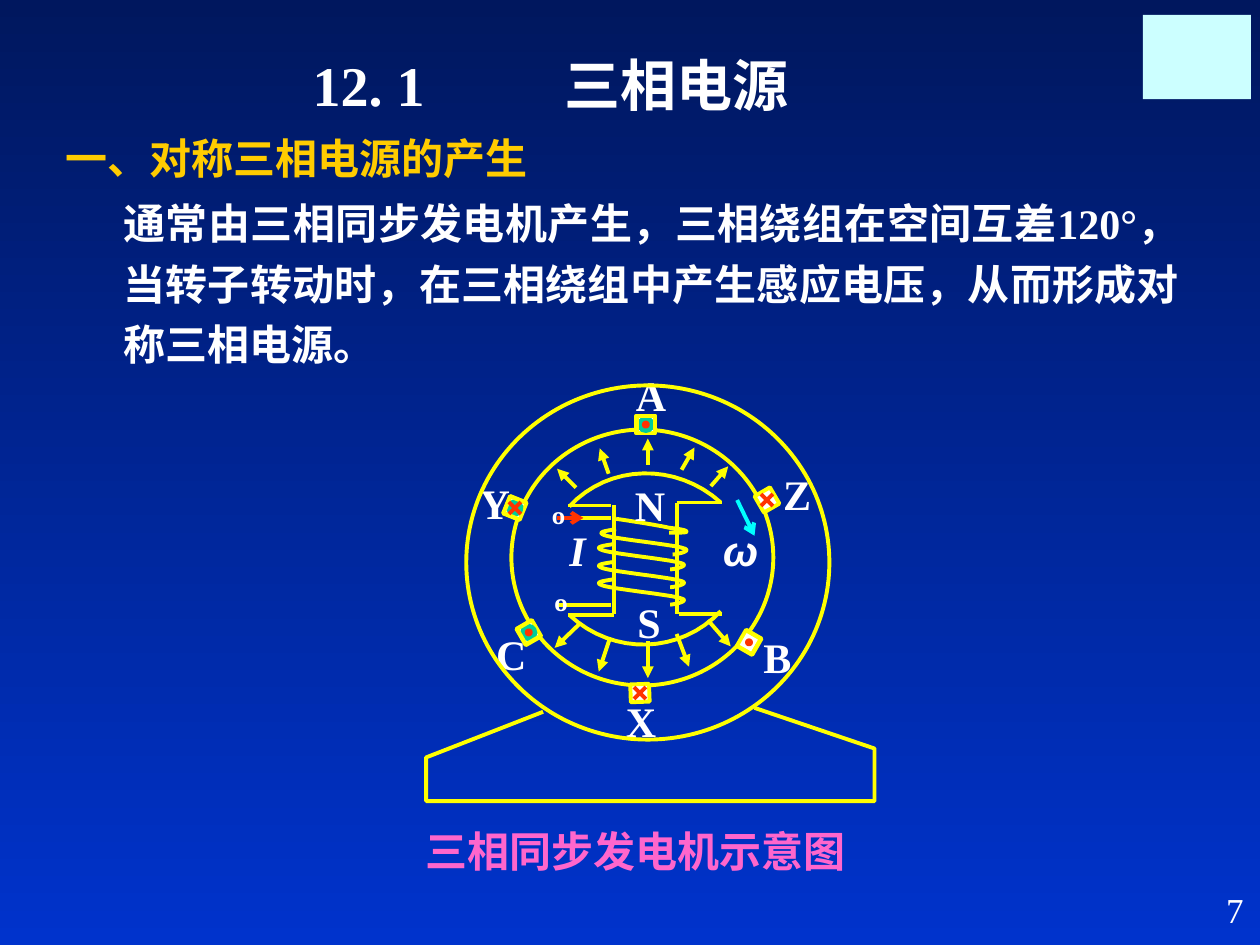
from math import cos, radians, sin

from lxml.etree import SubElement
from pptx import Presentation
from pptx.dml.color import RGBColor
from pptx.enum.shapes import MSO_CONNECTOR, MSO_SHAPE
from pptx.enum.text import MSO_ANCHOR, PP_ALIGN
from pptx.oxml.ns import qn
from pptx.util import Cm, Pt

COLORS = {
    "sky": "00175E", "blue": "0033CC", "white": "FFFFFF", "gold": "FFCC00",
    "pink": "FF66CC", "yellow": "FFFF00", "red": "FF3300", "teal": "00CC99",
    "cyan": "00FFFF", "pale": "CCFFFF",
}
RGB = {name: RGBColor.from_string(value) for name, value in COLORS.items()}
STROKE = Pt(2.25)

prs = Presentation()
prs.slide_width, prs.slide_height = Cm(25.4), Cm(19.05)
slide = prs.slides.add_slide(prs.slide_layouts[5])
shapes = slide.shapes

background = slide.background.fill
background.gradient()
background.gradient_angle = 270
for stop, name in zip(background.gradient_stops, ("sky", "blue")):
    stop.color.rgb = RGB[name]


def write_text(text, box, holder=None, size=24, color="white", bold=True, italic=False,
               font="Times New Roman", align=PP_ALIGN.LEFT, anchor=MSO_ANCHOR.TOP,
               wrap=True, spacing=None):
    left, top, width, height = (Cm(value) for value in box)
    holder = holder or shapes.add_textbox(left, top, width, height)
    holder.left, holder.top, holder.width, holder.height = left, top, width, height
    frame = holder.text_frame
    frame.word_wrap, frame.vertical_anchor = wrap, anchor
    paragraph = frame.paragraphs[0]
    paragraph.alignment, paragraph.line_spacing = align, spacing
    run = paragraph.add_run()
    run.text = text
    run.font.name, run.font.size = font, Pt(size)
    run.font.bold, run.font.italic = bold, italic
    run.font.color.rgb = RGB[color]
    return paragraph


def add_figure(kind, box=None, points=None, fill=None, line=None, rotation=0):
    if points:
        start, *rest = [(Cm(x), Cm(y)) for x, y in points]
        builder = shapes.build_freeform(*start)
        builder.add_line_segments(rest, close=False)
        figure = builder.convert_to_shape()
    else:
        figure = shapes.add_shape(kind, *(Cm(value) for value in box))
    figure.shadow.inherit = False
    figure.rotation = rotation
    if fill:
        figure.fill.solid()
        figure.fill.fore_color.rgb = RGB[fill]
    else:
        figure.fill.background()
    if line:
        figure.line.color.rgb = RGB[line]
        figure.line.width = STROKE
    else:
        figure.line.fill.background()


heading = write_text("\t12. 1\t三相电源", (1.83, 0.89, 18.52, 1.63), holder=shapes.title, size=32)
tab_stops = SubElement(heading._p.get_or_add_pPr(), qn("a:tabLst"))
for position in (4.22, 9.3):
    SubElement(tab_stops, qn("a:tab"), pos=str(Cm(position)), algn="l")

add_figure(MSO_SHAPE.RECTANGLE, (23.04, 0.3, 2.18, 1.7), fill="pale")
write_text("一、对称三相电源的产生", (1.07, 2.54, 11, 1.27), color="gold")
write_text("通常由三相同步发电机产生，三相绕组在空间互差120°，当转子转动时，"
           "在三相绕组中产生感应电压，从而形成对称三相电源。",
           (2.24, 3.66, 21.79, 3.91), align=PP_ALIGN.JUSTIFY, spacing=1.2)
write_text("三相同步发电机示意图", (8.33, 16.51, 9.1, 1.27), color="pink")

add_figure(MSO_SHAPE.OVAL, (10.31, 8.66, 5.28, 5.16), line="yellow")

winding = [(0, 0), (-0.2, 0.03), (-0.43, 0.06), (-0.2, 0.13), (0.03, 0.2), (1.14, 0.31),
           (1.35, 0.38), (1.57, 0.44), (1.19, 0.51), (1.14, 0.51)]
curves = [
    [(14.53, 10.13), (13.64, 9.32), (12.27, 9.35), (11.48, 10.21)],
    [(11.48, 12.4), (12.37, 13.23), (13.72, 13.18), (14.53, 12.32)],
    [(12.42, 10.46), (12.83, 10.52), (13.26, 10.59), (13.49, 10.64), (13.74, 10.67),
     (13.84, 10.69), (13.84, 10.72), (13.84, 10.74), (13.67, 10.74), (13.49, 10.74)],
]
for left, top in ((12.42, 10.67), (12.37, 10.97), (12.37, 11.33), (12.37, 11.68)):
    curves.append([(left + x, top + y) for x, y in winding])

steps = 16
for controls in curves:
    points = [controls[0]]
    for first in range(0, len(controls) - 1, 3):
        for step in range(1, steps + 1):
            t = step / steps
            weights = ((1 - t) ** 3, 3 * t * (1 - t) ** 2, 3 * t ** 2 * (1 - t), t ** 3)
            segment = controls[first:first + 4]
            points.append(tuple(sum(w * p[axis] for w, p in zip(weights, segment))
                                for axis in (0, 1)))
    add_figure(None, points=points, line="yellow")

core_and_leads = [
    (12.37, 10.19, 12.37, 12.37), (13.64, 10.13, 13.64, 12.37),
    (13.64, 10.13, 14.55, 10.13), (12.32, 10.19, 11.46, 10.19),
    (12.37, 12.4, 11.46, 12.4), (13.69, 12.37, 14.55, 12.37),
    (12.32, 12.19, 11.23, 12.19), (12.32, 10.44, 11.23, 10.44),
]
flux = [
    (13.06, 9.37, 13.06, 8.84), (12.27, 9.55, 12.09, 9.04), (11.61, 9.83, 11.23, 9.45),
    (13.74, 9.47, 14, 9.02), (14.33, 9.8, 14.68, 9.4),
    (13.06, 12.93, 13.06, 13.67), (13.64, 12.78, 13.89, 13.44), (14.27, 12.5, 14.73, 13.03),
    (12.29, 12.88, 12.07, 13.54), (11.71, 12.55, 11.18, 13.06),
]
strokes = [(ends, "yellow", None) for ends in core_and_leads]
strokes += [(ends, "yellow", "triangle") for ends in flux]
strokes += [((11.23, 10.44, 11.76, 10.44), "red", "arrow"),
            ((14.86, 10.08, 15.21, 10.8), "cyan", "arrow")]

slots = [
    (13.02, 8.56, 0, "teal", "dot", True), (15.1, 12.95, 120, None, "dot", True),
    (10.66, 12.75, 240, "teal", "dot", True), (15.46, 10.08, 60, None, "cross", False),
    (10.38, 10.24, 292, "teal", "cross", True), (12.9, 13.97, 178, None, "cross", False),
]
for x, y, angle, conductor, mark, edged in slots:
    add_figure(MSO_SHAPE.RECTANGLE, (x - 0.19, y - 0.18, 0.38, 0.36),
               fill="white", line="yellow", rotation=angle)
    if conductor:
        add_figure(MSO_SHAPE.OVAL, (x - 0.18, y - 0.17, 0.36, 0.34),
                   fill=conductor, rotation=angle)
    if edged:
        turn = radians(angle)
        corners = [(-0.18, 0.17), (-0.18, -0.17), (0.18, -0.17), (0.18, 0.17)]
        add_figure(None, line="yellow", points=[
            (x + u * cos(turn) - v * sin(turn), y + u * sin(turn) + v * cos(turn))
            for u, v in corners])
    if mark == "dot":
        add_figure(MSO_SHAPE.OVAL, (x - 0.04, y - 0.04, 0.08, 0.08), fill="red", line="red")
    else:
        for rise in (-0.12, 0.12):
            strokes.append(((x + 0.12, y + rise, x - 0.12, y - rise), "red", None))

for ends, color, head in strokes:
    stroke = shapes.add_connector(MSO_CONNECTOR.STRAIGHT, *(Cm(value) for value in ends))
    stroke.line.color.rgb = RGB[color]
    stroke.line.width = STROKE
    properties = stroke.element.spPr
    if head:
        SubElement(properties.find(qn("a:ln")), qn("a:tailEnd"), type=head)
    SubElement(properties, qn("a:effectLst"))

for letter, left, top, width in (
    ("N", 12.55, 9.55, 1.12), ("S", 12.6, 11.91, 0.97), ("A", 12.57, 7.32, 1.12),
    ("Z", 15.54, 9.32, 1.07), ("B", 15.14, 12.6, 1.07), ("X", 12.37, 13.89, 1.12),
    ("C", 9.75, 12.55, 1.12), ("Y", 9.42, 9.5, 1.12),
):
    write_text(letter, (left, top, width, 1.27), wrap=False)
write_text("I", (11.23, 10.44, 0.84, 1.27), italic=True, wrap=False)
write_text("ω", (14.33, 10.44, 1.09, 1.27), italic=True, wrap=False, font="Arial")
for left, top in ((10.87, 9.93), (10.92, 11.68)):
    write_text("º", (left, top, 0.58, 1.27), align=PP_ALIGN.CENTER, anchor=MSO_ANCHOR.MIDDLE)

add_figure(MSO_SHAPE.OVAL, (9.4, 7.77, 7.32, 7.14), line="yellow")
add_figure(None, line="yellow", points=[
    (10.95, 14.35), (8.59, 15.27), (8.59, 16.15), (17.63, 16.15), (17.63, 15.09), (15.21, 14.27)])
write_text("7", (20.04, 17.78, 5.28, 1.27), size=20, bold=False, align=PP_ALIGN.RIGHT)

prs.save("out.pptx")
